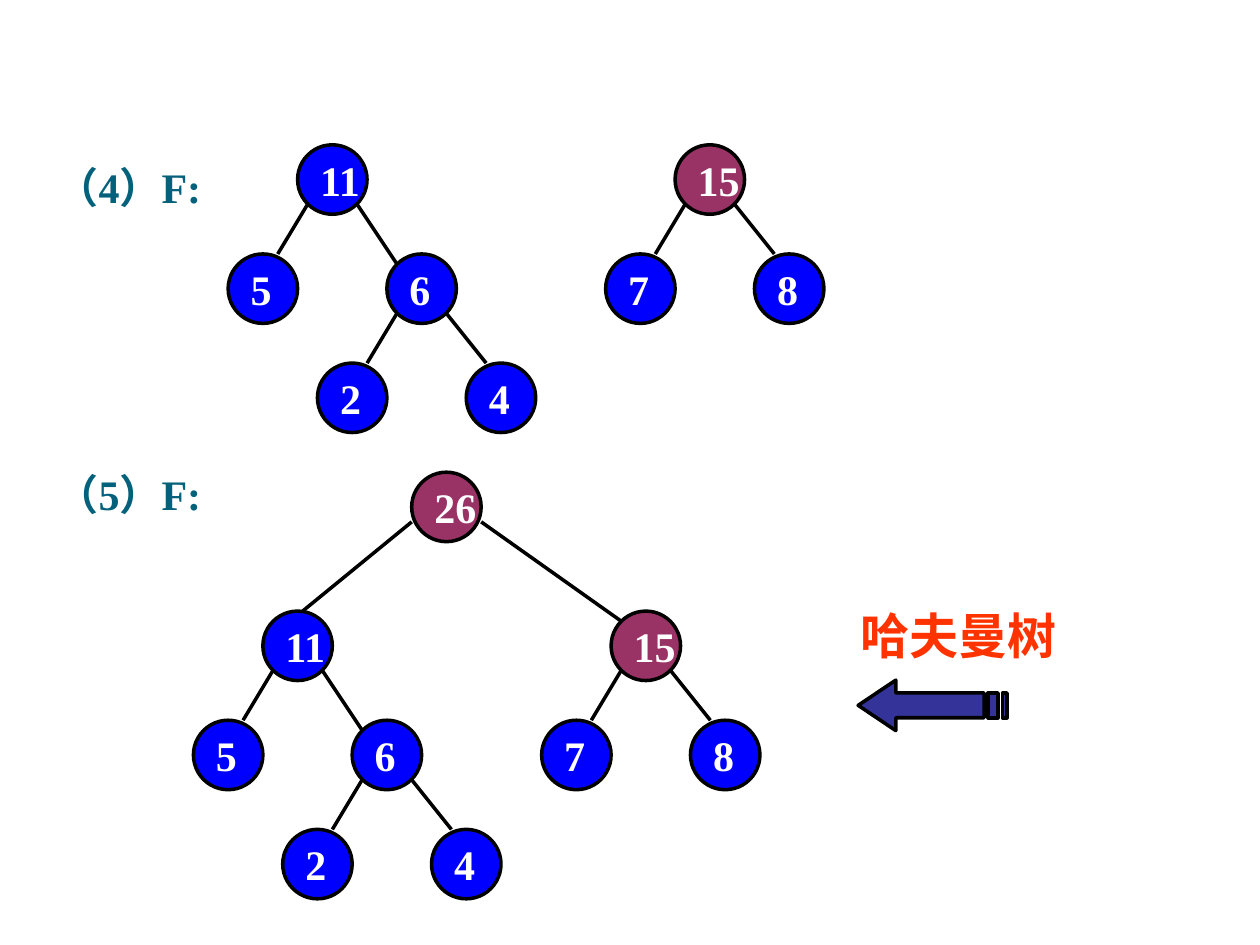
"""Builds the slide with the last two steps of a Huffman tree."""
from dataclasses import dataclass, replace

from lxml.etree import SubElement
from pptx import Presentation
from pptx.dml.color import RGBColor
from pptx.enum.shapes import MSO_CONNECTOR as CONN, MSO_SHAPE as SHAPE
from pptx.enum.text import MSO_ANCHOR as ANCHOR, PP_ALIGN as ALIGN
from pptx.oxml.ns import qn
from pptx.util import Cm, Pt

BLUE, PLUM = "0000FF", "993366"


def color(value):
    return RGBColor.from_string(value)


@dataclass(frozen=True)
class Node:
    label: str
    step: tuple = (0, 0)
    joint: tuple = (1, 0)
    kids: tuple = ()
    starts: tuple = ((0.2, 1.2), (1.2, 1.2))
    fill: str = BLUE


class Painter:
    font = "Times New Roman"
    ink = "000000"
    line_width = Pt(2)
    diameter = 1.4

    def __init__(self, slide):
        self.s = slide

    def format_text(self, tf, text, size, hex_color):
        tf.text = text
        p = tf.paragraphs[0]
        p.alignment = ALIGN.LEFT
        for r in p.runs:
            r.font.name = self.font
            r.font.size = Pt(size)
            r.font.bold = True
            r.font.color.rgb = color(hex_color)
        return p

    def outline(self, sp, fill):
        sp.shadow.inherit = False
        sp.fill.solid()
        sp.fill.fore_color.rgb = color(fill)
        sp.line.color.rgb = color(self.ink)
        sp.line.width = self.line_width

    def text(self, x, y, w, h, text, size, hex_color, spacing=1.0):
        tf = self.s.shapes.add_textbox(Cm(x), Cm(y), Cm(w), Cm(h)).text_frame
        tf.word_wrap = True
        p = self.format_text(tf, text, size, hex_color)
        p.line_spacing = spacing

    def circle(self, x, y, label, fill):
        d = Cm(self.diameter)
        sp = self.s.shapes.add_shape(SHAPE.OVAL, Cm(x), Cm(y), d, d)
        self.outline(sp, fill)
        tf = sp.text_frame
        tf.word_wrap = False
        tf.vertical_anchor = ANCHOR.MIDDLE
        self.format_text(tf, label, 24, "FFFFFF")

    def edge(self, x1, y1, x2, y2):
        c = self.s.shapes.add_connector(CONN.STRAIGHT, Cm(x1), Cm(y1), Cm(x2), Cm(y2))
        c.line.color.rgb = color(self.ink)
        c.line.width = self.line_width
        SubElement(c._element.spPr, qn("a:effectLst"))

    def tree(self, node, x, y):
        for kid, (sx, sy) in zip(node.kids, node.starts):
            kx, ky = x + kid.step[0], y + kid.step[1]
            self.edge(x + sx, y + sy, kx + kid.joint[0], ky + kid.joint[1])
            self.tree(kid, kx, ky)
        self.circle(x, y, node.label, node.fill)

    def polygons(self, outlines, fill):
        first, *others = [[(Cm(x), Cm(y)) for x, y in o] for o in outlines]
        fb = self.s.shapes.build_freeform(*first[0])
        fb.add_line_segments(first[1:], close=True)
        for points in others:
            fb.move_to(*points[0])
            fb.add_line_segments(points[1:], close=True)
        self.outline(fb.convert_to_shape(), fill)


def bar(left, right, top, bottom):
    return [(left, top), (right, top), (right, bottom), (left, bottom)]


def main():
    prs = Presentation()
    prs.slide_width, prs.slide_height = Cm(25.4), Cm(19.05)
    painter = Painter(prs.slides.add_slide(prs.slide_layouts[6]))

    low_left, low_right, joint = (-1.4, 2.2), (1.6, 2.2), (0.4, 0)
    six = Node("6", (1.8, 2.2), (0.2, 0.2),
               (Node("2", low_left), Node("4", low_right, joint)))
    eleven = Node("11", kids=(Node("5", low_left), six))
    fifteen = Node("15", kids=(Node("7", low_left), Node("8", low_right, joint)),
                   fill=PLUM)
    root = Node("26", starts=((0, 1), (1.4, 1)), fill=PLUM, kids=(
        replace(eleven, step=(-3, 2.8), joint=(0.8, 0)),
        replace(fifteen, step=(4.02, 2.8), joint=(0.2, 0.2))))

    for label, y in (("（4）F:", 2.92), ("（5）F:", 9.12)):
        painter.text(0.89, y, 4.04, 1.47, label, 24, "04617B", 1.2)
    painter.tree(eleven, 6, 2.92)
    painter.tree(fifteen, 13.61, 2.92)
    painter.tree(root, 8.3, 9.52)

    top, bottom = 13.97, 14.47
    head = [(18.06, 14.73), (17.3, 14.22), (18.06, 13.71)]
    shaft = [(18.06, top), (19.84, top), (19.84, bottom), (18.06, bottom)]
    painter.polygons([head + shaft, bar(19.92, 20.12, top, bottom),
                      bar(20.21, 20.3, top, bottom)], "333399")
    painter.text(17.1, 12.09, 5.79, 1.45, "哈夫曼树", 28, "FF3300")

    prs.save("out.pptx")


if __name__ == "__main__":
    main()
